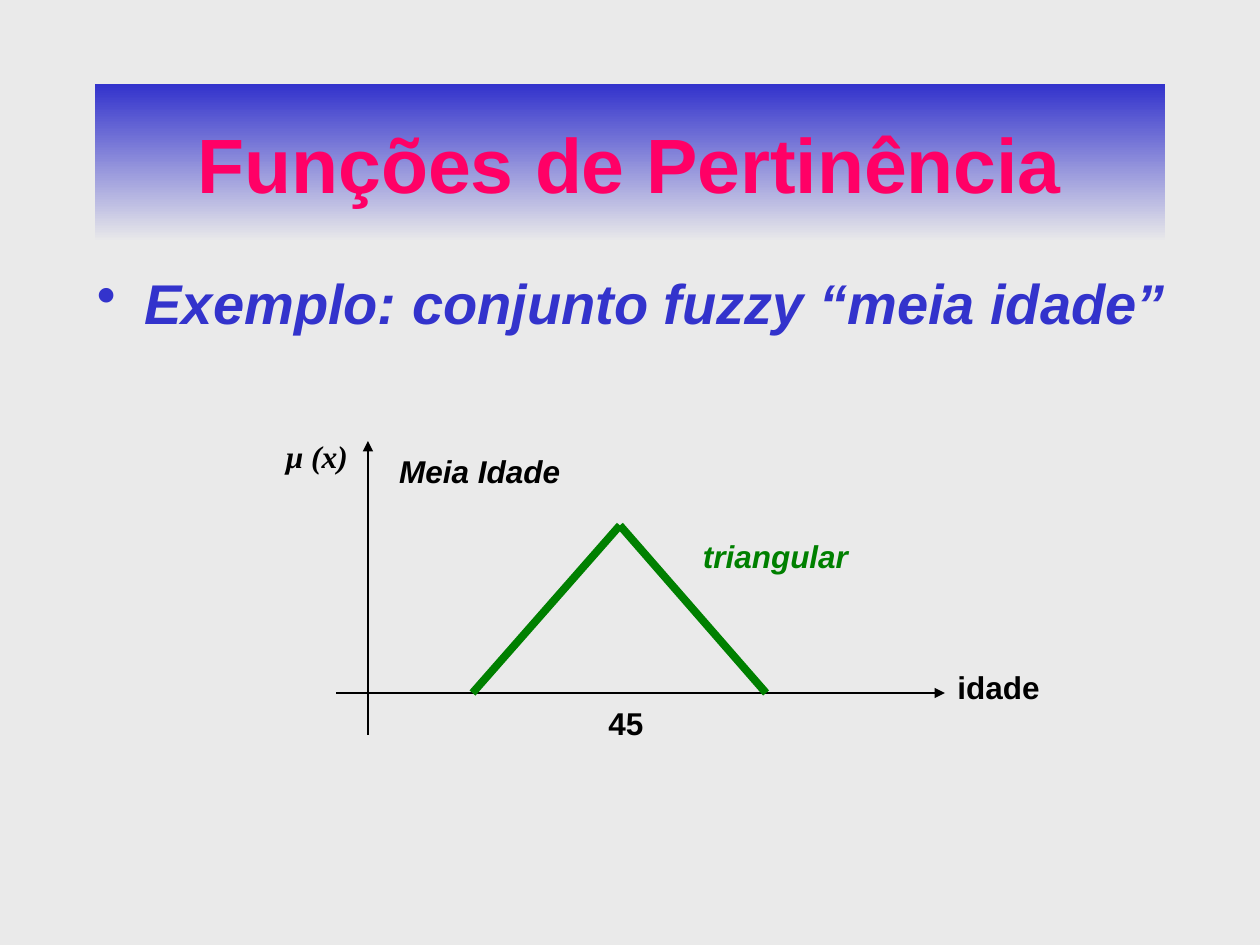
from lxml import etree
from pptx import Presentation
from pptx import util as u
from pptx.dml.color import RGBColor
from pptx.enum import shapes, text
from pptx.oxml import ns

BLUE = RGBColor(0x33, 0x33, 0xCC)
PINK = RGBColor(0xFF, 0x00, 0x66)
GREEN = RGBColor(0x00, 0x80, 0x00)
BLACK = RGBColor(0x00, 0x00, 0x00)
GREY = RGBColor(0xEA, 0xEA, 0xEA)


class Deck:
    """Holds the text style and the current slide."""

    style = {"name": "Arial", "size": u.Pt(18), "bold": True, "italic": False}

    def __init__(self, show):
        self.slide = show.slides.add_slide(show.slide_layouts[5])
        fill = self.slide.background.fill
        fill.solid()
        fill.fore_color.rgb = GREY

    def add_run(self, para, words, color, **form):
        run = para.add_run()
        run.text = words
        for key, value in {**self.style, **form}.items():
            setattr(run.font, key, value)
        run.font.color.rgb = color

    def title(self, words, box):
        shape = self.slide.shapes.title
        for key, value in zip(("left", "top", "width", "height"), box):
            setattr(shape, key, u.Inches(value))
        shape.fill.gradient()
        shape.fill.gradient_angle = 270
        for stop, color, place in zip(shape.fill.gradient_stops, (BLUE, GREY), (0, 1)):
            stop.color.rgb = color
            stop.position = place
        frame = shape.text_frame
        frame.vertical_anchor = text.MSO_ANCHOR.MIDDLE
        para = frame.paragraphs[0]
        para.alignment = text.PP_ALIGN.CENTER
        self.add_run(para, words, PINK, size=u.Pt(44))

    def frame(self, box, wrap):
        frame = self.slide.shapes.add_textbox(*map(u.Inches, box)).text_frame
        frame.word_wrap = wrap
        return frame

    def bullet(self, words, box):
        para = self.frame(box, True).paragraphs[0]
        props = para._p.get_or_add_pPr()
        indent = u.Inches(0.38)
        props.set("marL", str(indent))
        props.set("indent", str(-indent))
        etree.SubElement(props, ns.qn("a:buChar")).set("char", "•")
        self.add_run(para, words, BLUE, size=u.Pt(32), italic=True)

    def label(self, words, left, top, width, color=BLACK, **form):
        frame = self.frame((left, top, width, 0.4), False)
        frame.auto_size = text.MSO_AUTO_SIZE.SHAPE_TO_FIT_TEXT
        self.add_run(frame.paragraphs[0], words, color, **form)

    def line(self, start, end, color=BLACK, width=1.5, arrow=False):
        line = self.slide.shapes.add_connector(
            shapes.MSO_CONNECTOR.STRAIGHT, *map(u.Inches, start + end))
        line.line.color.rgb = color
        line.line.width = u.Pt(width)
        if arrow:
            tail = etree.SubElement(line.line._get_or_add_ln(), ns.qn("a:tailEnd"))
            tail.set("type", "triangle")
        etree.SubElement(line._element.spPr, ns.qn("a:effectLst"))


def main():
    show = Presentation()
    show.slide_width, show.slide_height = u.Inches(10), u.Inches(7.5)
    deck = Deck(show)
    deck.title("Funções de Pertinência", (0.75, 0.67, 8.5, 1.25))
    deck.bullet("Exemplo: conjunto fuzzy “meia idade”", (0.67, 2.08, 9.33, 1.25))

    base = 5.5
    deck.line((2.92, 5.83), (2.92, 3.5), arrow=True)
    deck.line((2.67, base), (7.5, base), arrow=True)
    for foot in (3.75, 6.08):
        deck.line((foot, base), (4.92, 4.17), GREEN, 4.5)

    deck.label("μ (x)", 2.17, 3.42, 0.7, name="Times New Roman", italic=True)
    deck.label("idade", 7.5, 5.25, 0.85)
    deck.label("45", 4.73, 5.54, 0.48)
    deck.label("triangular", 5.48, 4.21, 1.35, GREEN, italic=True)
    deck.label("Meia Idade", 3.07, 3.54, 1.48, italic=True)
    show.save("out.pptx")


if __name__ == "__main__":
    main()
